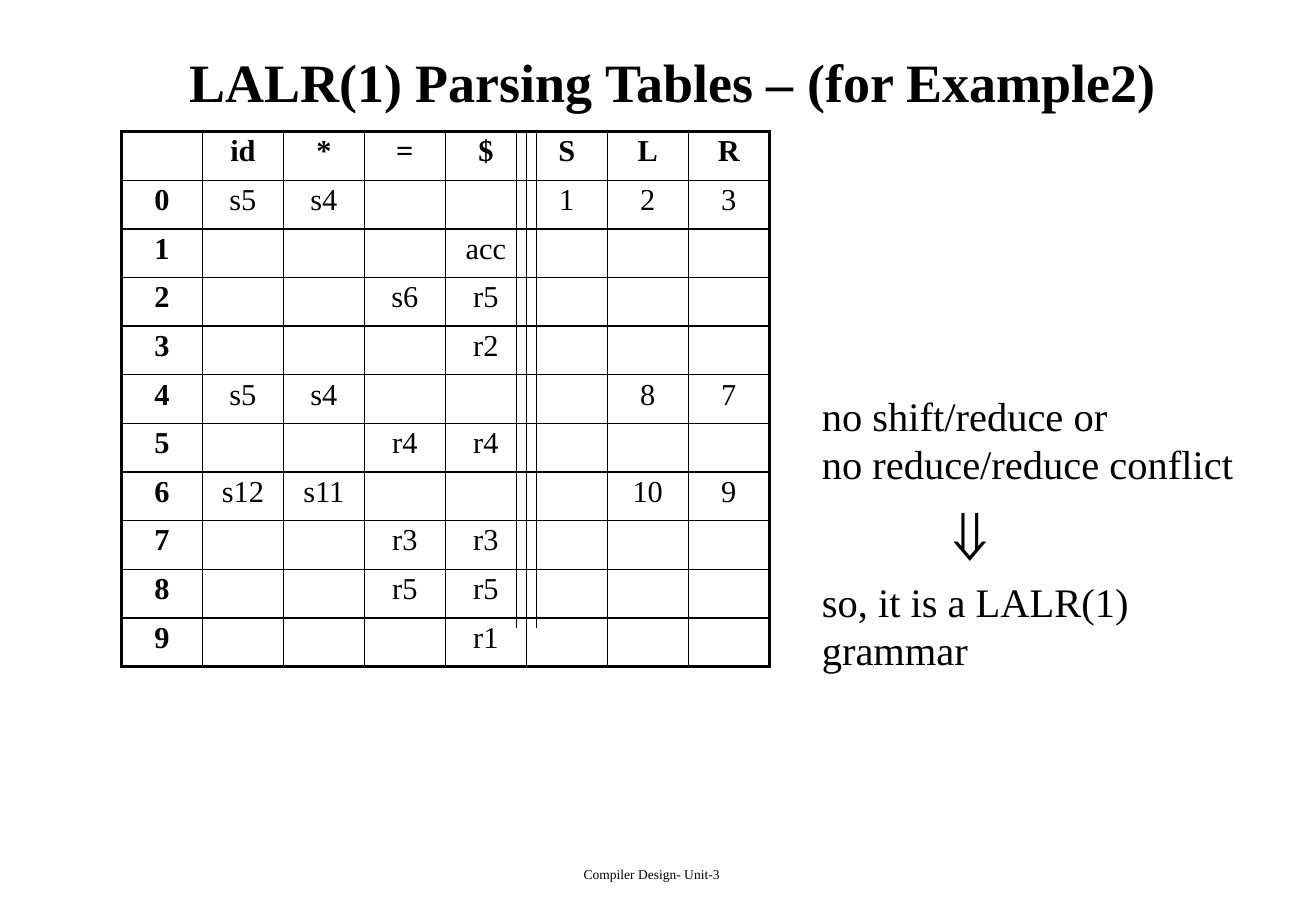
import dataclasses
import typing

import pptx
import pptx.dml.color
import pptx.enum.shapes
import pptx.enum.text
import pptx.oxml.xmlchemy
import pptx.util
import lxml.etree

COLS, ROWS = 130, 90  # slide grid, twelve steps to the inch
STEP = pptx.util.Inches(1 / 12)
CELL_W, CELL_H = 8, 4.56
FONT = "Times New Roman"
BLACK = "000000"
THIN, THICK = 1, 2.25
NS = "http://schemas.openxmlformats.org/drawingml/2006/main"
MID = pptx.enum.text.PP_ALIGN.CENTER
LEFT = pptx.enum.text.PP_ALIGN.LEFT

HEADS = ["", "id", "*", "=", "$", "S", "L", "R"]
MOVES = [
    {"id": "s5", "*": "s4", "S": "1", "L": "2", "R": "3"},
    {"$": "acc"},
    {"=": "s6", "$": "r5"},
    {"$": "r2"},
    {"id": "s5", "*": "s4", "L": "8", "R": "7"},
    {"=": "r4", "$": "r4"},
    {"id": "s12", "*": "s11", "L": "10", "R": "9"},
    {"=": "r3", "$": "r3"},
    {"=": "r5", "$": "r5"},
    {"$": "r1"},
]


@dataclasses.dataclass
class Box:
    left: float
    top: float
    width: float
    height: float


@dataclasses.dataclass
class Line:
    text: str
    size: float
    bold: bool = False
    align: typing.Any = LEFT
    space: float = 1.0
    indent: float = 0


TITLE = Box(5, 2, 123, 12)
GRID = Box(12, 13, CELL_W * len(HEADS), CELL_H * (len(MOVES) + 1))
NOTE = Box(80, 38, 47.4, 24.4)
FOOT = Box(40, 85, 48.75, 3)
SPLITS = [51, 53]
SPLIT_END = 62

NOTE_LINES = [
    Line("no shift/reduce or", 24),
    Line("no reduce/reduce conflict", 24),
    Line("⇓", 44, indent=12),
    Line("so, it is a LALR(1) grammar", 24),
]


def units(count: float) -> int:
    return round(count * STEP)


def place(box: Box) -> dict[str, int]:
    return {name: units(size) for name, size in dataclasses.asdict(box).items()}


def color(code: str) -> pptx.dml.color.RGBColor:
    return pptx.dml.color.RGBColor.from_string(code)


def apply(target: typing.Any, format: dict[str, typing.Any]) -> None:
    for name, value in format.items():
        setattr(target, name, value)


def write(frame: typing.Any, lines: list[Line]) -> None:
    for index, line in enumerate(lines):
        para = frame.add_paragraph() if index else frame.paragraphs[0]
        apply(para, {"alignment": line.align, "line_spacing": line.space})
        if line.indent:
            para._p.get_or_add_pPr().set("marL", str(units(line.indent)))
        if line.text:
            run = para.add_run()
            run.text = line.text
            apply(run.font, {"name": FONT, "size": pptx.util.Pt(line.size), "bold": line.bold})
            run.font.color.rgb = color(BLACK)


def add_text(slide: typing.Any, box: Box, lines: list[Line]) -> None:
    frame = slide.shapes.add_textbox(**place(box)).text_frame
    frame.word_wrap = True
    write(frame, lines)


def edge(cell: typing.Any, side: str, width: float) -> None:
    props = cell._tc.get_or_add_tcPr()
    line = lxml.etree.SubElement(props, f"{{{NS}}}ln{side}", w=str(pptx.util.Pt(width)))
    fill = lxml.etree.SubElement(line, f"{{{NS}}}solidFill")
    lxml.etree.SubElement(fill, f"{{{NS}}}srgbClr", val=BLACK)


def add_grid(slide: typing.Any) -> None:
    """Draw the parsing table with a thick outer frame and thin inner rules."""
    body = [[str(state)] + [move.get(head, "") for head in HEADS[1:]]
            for state, move in enumerate(MOVES)]
    rows = [HEADS] + body
    table = slide.shapes.add_table(len(rows), len(HEADS), **place(GRID)).table
    apply(table, {"first_row": False, "horz_banding": False})
    for column in table.columns:
        column.width = units(CELL_W)
    for y, row in enumerate(rows):
        table.rows[y].height = units(CELL_H)
        for x, text in enumerate(row):
            cell = table.cell(y, x)
            outer = {"L": x == 0, "R": x == len(HEADS) - 1,
                     "T": y == 0, "B": y == len(rows) - 1}
            for side, thick in outer.items():
                edge(cell, side, THICK if thick else THIN)
            cell.fill.background()
            write(cell.text_frame, [Line(text, 18, x == 0 or y == 0, MID, 0.9)])


def add_split(slide: typing.Any, x: float) -> None:
    line = slide.shapes.add_connector(
        pptx.enum.shapes.MSO_CONNECTOR.STRAIGHT,
        units(x), units(GRID.top), units(x), units(SPLIT_END))
    line.line.width = pptx.util.Pt(0.75)
    line.line.color.rgb = color(BLACK)
    lxml.etree.SubElement(line._element.spPr, f"{{{NS}}}effectLst")


def main() -> None:
    deck = pptx.Presentation()
    apply(deck, {"slide_width": units(COLS), "slide_height": units(ROWS)})
    slide = deck.slides.add_slide(deck.slide_layouts[5])

    title = slide.shapes.title
    apply(title, place(TITLE))
    apply(title.text_frame, {
        "word_wrap": True,
        "auto_size": pptx.enum.text.MSO_AUTO_SIZE.NONE,
        "vertical_anchor": pptx.enum.text.MSO_ANCHOR.MIDDLE,
    })
    write(title.text_frame, [Line("LALR(1) Parsing Tables – (for Example2)", 32, True, MID)])

    add_text(slide, FOOT, [Line("Compiler Design- Unit-3", 8, align=MID)])
    add_grid(slide)
    for x in SPLITS:
        add_split(slide, x)
    add_text(slide, NOTE, NOTE_LINES)
    deck.save("out.pptx")


if __name__ == "__main__":
    main()
